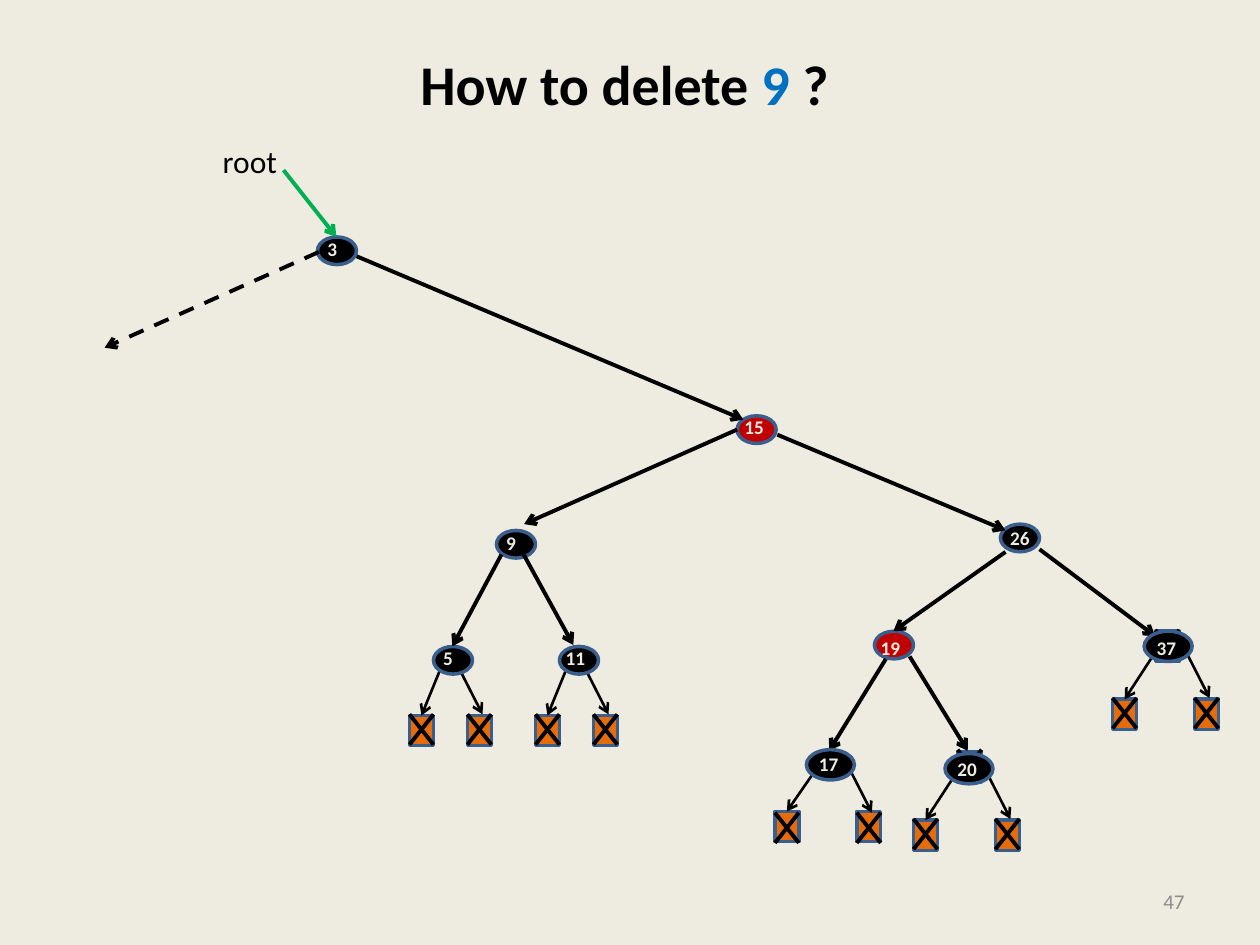
from lxml.etree import SubElement
from pptx import Presentation
from pptx.dml.color import RGBColor
from pptx.enum.dml import MSO_LINE
from pptx.enum.shapes import MSO_CONNECTOR, MSO_SHAPE
from pptx.enum.text import MSO_ANCHOR, MSO_AUTO_SIZE, PP_ALIGN
from pptx.oxml.ns import qn
from pptx.util import Pt

COLORS = {
    "background": "EEECE1",
    "black": "000000",
    "red": "C00000",
    "blue": "0070C0",
    "green": "00B050",
    "orange": "E46C0A",
    "outline": "3A5F8C",
    "gray": "8C8C8C",
}
SMALL = (22.3, 15.8)
LARGE = (27.4, 17.3)
LEAF = (13.7, 17.3)

LOWER_NODES = [
    dict(key="15", at=(421.2, 237.6), label_at=(418.3, 234), fill="red"),
    dict(key="26", at=(571.7, 299.5), label_at=(570.2, 297.4)),
    dict(key="19", at=(499.7, 360.7), label_at=(496.1, 360), fill="red"),
    dict(key="9", at=(283.7, 303.1), label_at=(282.2, 300.2)),
    dict(key="5", at=(247.7, 369.4), label_at=(246.2, 365.8)),
    dict(key="11", at=(319.7, 369.4), label_at=(316.1, 365.8)),
]
UPPER_NODES = [
    dict(key="37", at=(653.8, 360.7), label_at=(653.8, 360), size=LARGE),
    dict(key="20", at=(540, 430.6), label_at=(540, 429.1), size=LARGE),
    dict(key="17", at=(460.8, 428.4), label_at=(460.8, 426.2), size=LARGE),
    dict(key="3", at=(181.4, 135.4), label_at=(180, 131.8)),
]
EDGES = [
    ((198, 144), (424.8, 239.8)),
    ((421.2, 245.5), (299.5, 299.5)),
    ((444.2, 248.4), (574.6, 303.1)),
    ((286.6, 316.8), (258.5, 369.4)),
    ((298.8, 316.1), (327.6, 368.6)),
    ((574.6, 315.4), (510.5, 360.7)),
    ((594, 313.9), (660.2, 363.6)),
    ((506.2, 376.6), (473.8, 429.1)),
    ((519.8, 375.1), (553, 429.1)),
]
SMALL_LEAVES = dict(offsets=(-13.7, 19.4), starts=(4.3, 14.4), rise=26.7)
LARGE_LEAVES = dict(offsets=(-18, 28.8), starts=(4.3, 23.8), rise=23)
LEAF_PAIRS = [
    dict(at=(247.7, 408.2), **SMALL_LEAVES),
    dict(at=(319.7, 408.2), **SMALL_LEAVES),
    dict(at=(653.8, 398.9), **LARGE_LEAVES),
    dict(at=(540, 468), **LARGE_LEAVES),
    dict(at=(460.8, 464.4), box_shift=-0.7, **LARGE_LEAVES),
]


def rgb(name):
    """Return the named palette colour."""
    return RGBColor.from_string(COLORS[name])


def add_text(page, at, size, spans, font_size=18, bold=False, align=PP_ALIGN.LEFT,
             anchor=MSO_ANCHOR.TOP, wrap=False, bottom=3.6):
    """Add a text box holding (text, colour) spans in one paragraph."""
    box = page.shapes.add_textbox(*map(Pt, at + size))
    frame = box.text_frame
    frame.word_wrap = wrap
    frame.auto_size = MSO_AUTO_SIZE.NONE if wrap else MSO_AUTO_SIZE.SHAPE_TO_FIT_TEXT
    frame.vertical_anchor = anchor
    frame.margin_bottom = Pt(bottom)
    para = frame.paragraphs[0]
    para.alignment = align
    for text, color in spans:
        span = para.add_run()
        span.text = text
        span.font.name = "Calibri"
        span.font.size = Pt(font_size)
        span.font.bold = bold
        span.font.color.rgb = rgb(color)


def add_figure(page, kind, at, size, fill):
    """Add an outlined preset shape."""
    figure = page.shapes.add_shape(kind, *map(Pt, at + size))
    figure.shadow.inherit = False
    figure.fill.solid()
    figure.fill.fore_color.rgb = rgb(fill)
    figure.line.color.rgb = rgb("outline")
    figure.line.width = Pt(2)
    return figure


def add_line(page, start, end, color="black", width=2.25, arrow=True, dashed=False, target=None):
    """Add a straight line, optionally joined to the top of a target box."""
    line = page.shapes.add_connector(MSO_CONNECTOR.STRAIGHT, *map(Pt, start + end))
    line.line.color.rgb = rgb(color)
    line.line.width = Pt(width)
    if dashed:
        line.line.dash_style = MSO_LINE.DASH
    if arrow:
        SubElement(line.line._get_or_add_ln(), qn("a:tailEnd"), type="arrow")
    SubElement(line._element.spPr, qn("a:effectLst"))
    if target is not None:
        line.end_connect(target, 0)


def add_leaf(page, x, y, box_shift=0.7):
    """Add a crossed-out box and return the box."""
    width, height = LEAF
    box = add_figure(page, MSO_SHAPE.RECTANGLE, (x, y + box_shift), LEAF, "orange")
    add_line(page, (x + width, y), (x, y + height), arrow=False)
    add_line(page, (x, y), (x + width, y + height), arrow=False)
    return box


def add_leaf_pair(page, at, offsets, starts, rise, box_shift=0.7):
    """Add the two empty leaves under a node with their arrows."""
    x, y = at
    left = add_leaf(page, x + offsets[0], y, box_shift)
    add_line(page, (x + starts[0], y - rise), (x + offsets[0] + 6.85, y), width=1.5, target=left)
    add_leaf(page, x + offsets[1], y, box_shift)
    add_line(page, (x + starts[1], y - 26.7), (x + offsets[1] + 8.6, y), width=1.5)


def add_node(page, key, at, label_at, size=SMALL, fill="black"):
    """Add a tree node with its key."""
    add_figure(page, MSO_SHAPE.OVAL, at, size, fill)
    label_width = 31 if size == LARGE else 14.4 + 5.7 * len(key)
    add_text(page, label_at, (label_width, 20.6), [(key, "background")],
             font_size=11, bold=True, wrap=size == LARGE)


def main():
    """Build the red-black tree slide."""
    deck = Presentation()
    deck.slide_width, deck.slide_height = Pt(720), Pt(540)
    page = deck.slides.add_slide(deck.slide_layouts[6])
    page.background.fill.solid()
    page.background.fill.fore_color.rgb = rgb("background")

    add_text(page, (5.8, 21.6), (702, 90),
             [("How to delete ", "black"), ("9 ", "blue"), ("?", "black")],
             font_size=32, bold=True, align=PP_ALIGN.CENTER,
             anchor=MSO_ANCHOR.MIDDLE, wrap=True, bottom=42)
    add_text(page, (516.2, 500.4), (167.8, 28.8), [("47", "gray")], font_size=12,
             align=PP_ALIGN.RIGHT, anchor=MSO_ANCHOR.MIDDLE, wrap=True)

    for pair in LEAF_PAIRS:
        add_leaf_pair(page, **pair)
    add_leaf(page, 547.2, 428.4, 1.4)
    add_leaf(page, 660.2, 360)
    for node in LOWER_NODES:
        add_node(page, **node)
    for start, end in EDGES:
        add_line(page, start, end)
    for node in UPPER_NODES:
        add_node(page, **node)

    add_line(page, (182.2, 144), (59.8, 198.7), dashed=True)
    add_line(page, (162, 97.2), (192.2, 135.4), color="green")
    add_text(page, (120.2, 77.8), (46, 29), [("root", "black")])
    deck.save("out.pptx")


if __name__ == "__main__":
    main()
